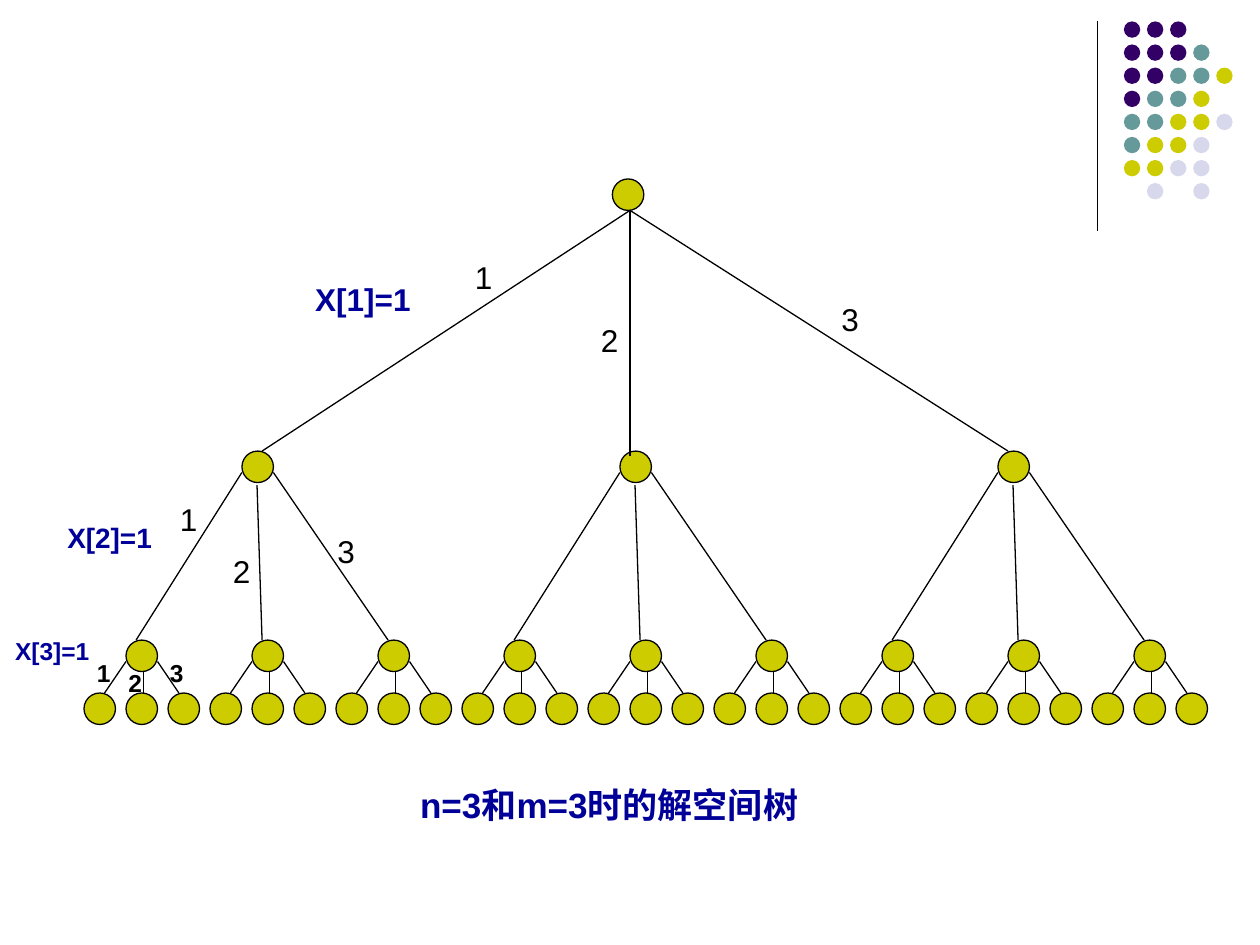
from lxml import etree
from pptx import Presentation
from pptx.dml.color import RGBColor
from pptx.enum.shapes import MSO_CONNECTOR, MSO_SHAPE
from pptx.enum.text import MSO_AUTO_SIZE, PP_ALIGN
from pptx.oxml.ns import qn
from pptx.util import Inches, Pt

OVAL = MSO_SHAPE.OVAL
STRAIGHT = MSO_CONNECTOR.STRAIGHT
LEFT, CENTER = PP_ALIGN.LEFT, PP_ALIGN.CENTER
FIT_SHAPE = MSO_AUTO_SIZE.SHAPE_TO_FIT_TEXT

COLORS = {
    "ink": "000000",
    "label": "000099",
    "purple": "330066",
    "teal": "669999",
    "olive": "CCCC00",
    "pale": "D8D8EC",
}
FONT = "Arial"
NODE_SIZE = 0.25
DOT_SIZE = 0.13
DOT_PITCH = 0.55 / 3
DOT_COLORS = {"P": "purple", "T": "teal", "O": "olive", "L": "pale"}
DOT_ROWS = ["PPP", "PPPT", "PPTTO", "PTTO", "TTOOL", "TOOL", "OOLL", " L L"]

ROOT = (4.86, 1.42)
LEVEL_1_Y, LEVEL_2_Y, LEAF_Y = 3.58, 5.08, 5.5

# Start and end of each branch, measured from the parent's top left corner
ROOT_BRANCHES = [
    ((0.14, 0.25), (-2.78, 2.16)),
    ((0.14, 0.25), (0.14, 2.2)),
    ((0.14, 0.25), (3.14, 2.16)),
]
LEVEL_1_BRANCHES = [
    ((0, 0.17), (-0.84, 1.5)),
    ((0.12, 0.27), (0.16, 1.5)),
    ((0.25, 0.17), (1.16, 1.5)),
]
LEVEL_2_BRANCHES = [
    ((0, 0.17), (-0.17, 0.42)),
    ((0.14, 0.25), (0.14, 0.42)),
    ((0.25, 0.17), (0.42, 0.42)),
]


def color(name):
    return RGBColor.from_string(COLORS[name])


def write_text(frame, text, size=18, ink="ink", bold=False, align=LEFT):
    paragraph = frame.paragraphs[0]
    paragraph.alignment = align
    run = paragraph.add_run()
    run.text = text
    run.font.name = FONT
    run.font.size = Pt(size)
    run.font.bold = bold
    run.font.color.rgb = color(ink)


class TreeSlide:
    """Holds the slide and draws its elements in one style."""

    def __init__(self, slide, line_width=0.75):
        self.shapes = slide.shapes
        self.line_width = Pt(line_width)

    def circle(self, x, y, size, fill, outlined=False):
        circle = self.shapes.add_shape(
            OVAL, Inches(x), Inches(y), Inches(size), Inches(size))
        circle.shadow.inherit = False
        circle.fill.solid()
        circle.fill.fore_color.rgb = color(fill)
        if outlined:
            circle.line.color.rgb = color("ink")
            circle.line.width = self.line_width
        else:
            circle.line.fill.background()

    def node(self, x, y):
        self.circle(x, y, NODE_SIZE, "olive", outlined=True)

    def line(self, x1, y1, x2, y2):
        line = self.shapes.add_connector(
            STRAIGHT, Inches(x1), Inches(y1), Inches(x2), Inches(y2))
        line.line.color.rgb = color("ink")
        line.line.width = self.line_width
        etree.SubElement(line._element.spPr, qn("a:effectLst"))

    def branches(self, x, y, offsets):
        for (dx1, dy1), (dx2, dy2) in offsets:
            self.line(x + dx1, y + dy1, x + dx2, y + dy2)

    def text(self, text, x, y, width, height, **style):
        frame = self.shapes.add_textbox(
            Inches(x), Inches(y), Inches(width), Inches(height)).text_frame
        frame.word_wrap = True
        frame.auto_size = FIT_SHAPE
        write_text(frame, text, **style)


def draw_ornament(tree):
    tree.line(8.71, 0.17, 8.71, 1.83)
    for row, codes in enumerate(DOT_ROWS):
        for column, code in enumerate(codes):
            if code in DOT_COLORS:
                tree.circle(8.92 + column * DOT_PITCH, 0.17 + row * DOT_PITCH,
                            DOT_SIZE, DOT_COLORS[code])


def draw_tree(tree):
    for x in range(1, 10):
        tree.node(x, LEVEL_2_Y)
        for side in (-1, 0, 1):
            tree.node(x + side / 3, LEAF_Y)
        tree.branches(x, LEVEL_2_Y, LEVEL_2_BRANCHES)
    tree.node(*ROOT)
    for x in (1.92, 4.92, 7.92):
        tree.node(x, LEVEL_1_Y)
        tree.branches(x, LEVEL_1_Y, LEVEL_1_BRANCHES)
    tree.branches(*ROOT, ROOT_BRANCHES)


def draw_labels(tree):
    heading = {"ink": "label", "bold": True, "align": CENTER}
    tree.text("X[1]=1", 2.17, 2.17, 1.42, 0.4, size=18, **heading)
    tree.text("X[2]=1", 0.33, 4.08, 1.08, 0.37, size=16, **heading)
    tree.text("X[3]=1", 0, 5, 0.83, 0.33, size=14, **heading)

    branch_labels = [
        ([(3.67, 2), (4.67, 2.5), (6.58, 2.33)], 0.4, 18, False),
        ([(1.33, 3.92), (1.75, 4.33), (2.58, 4.17)], 0.4, 18, False),
        ([(0.67, 5.17), (0.92, 5.25), (1.25, 5.17)], 0.33, 14, True),
    ]
    for places, height, size, bold in branch_labels:
        for choice, (x, y) in enumerate(places, start=1):
            tree.text(str(choice), x, y, 0.33, height, size=size, bold=bold)

    tree.text("n=3和m=3时的解空间树", 2, 6.17, 5.67, 0.43, size=20, **heading)


def main():
    presentation = Presentation()
    presentation.slide_width = Inches(10)
    presentation.slide_height = Inches(7.5)
    blank_layout = presentation.slide_layouts[6]
    tree = TreeSlide(presentation.slides.add_slide(blank_layout))
    draw_ornament(tree)
    draw_tree(tree)
    draw_labels(tree)
    presentation.save("out.pptx")


if __name__ == "__main__":
    main()
